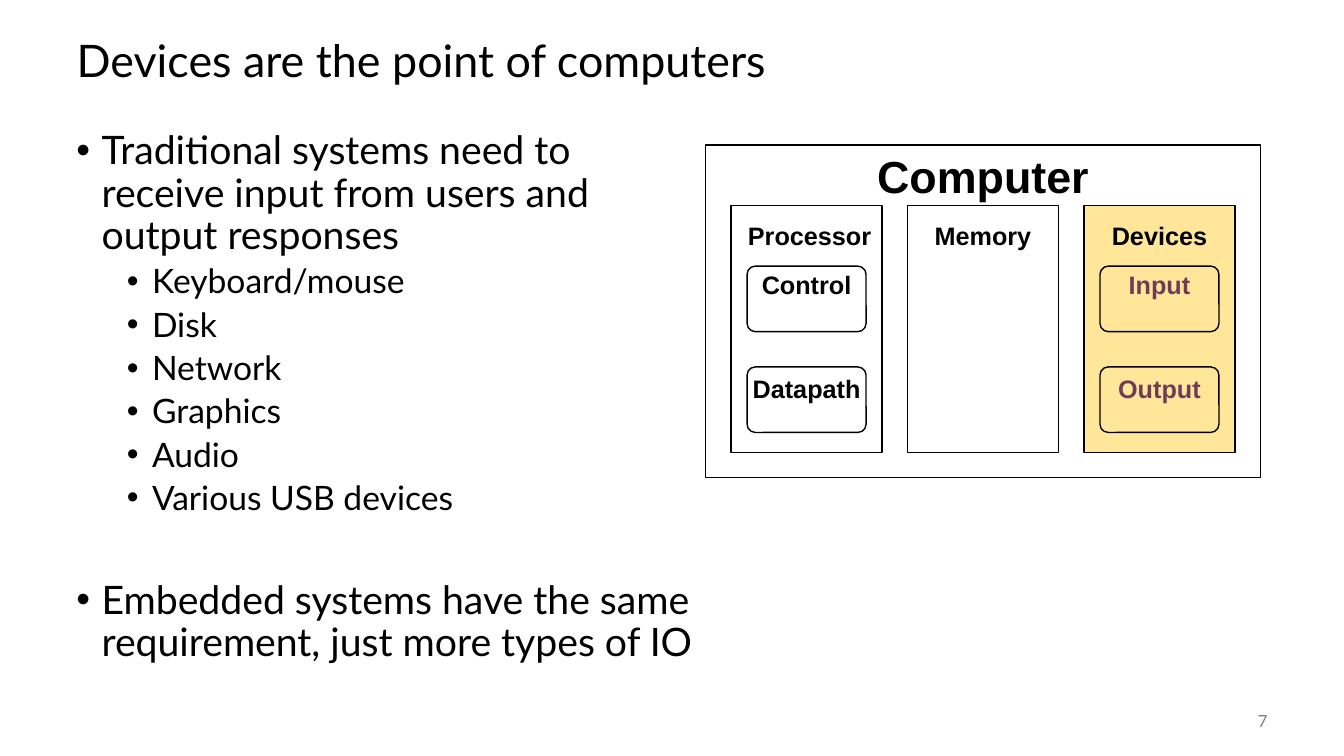
"""Build the slide on devices as the point of computers."""
from lxml import etree
from pptx import Presentation
from pptx.dml.color import RGBColor
from pptx.enum import shapes, text
from pptx.oxml import ns
from pptx.util import Inches, Pt

BLACK = RGBColor(0x00, 0x00, 0x00)
WHITE = RGBColor(0xFF, 0xFF, 0xFF)
GRAY = RGBColor(0x80, 0x80, 0x80)
GOLD = RGBColor(0xFF, 0xE6, 0x99)
PLUM = RGBColor(0x70, 0x3B, 0x56)

NEED_LINES = ["Traditional systems need to ", "receive input from users and", "output responses"]
DEVICE_KINDS = ["Keyboard/mouse", "Disk", "Network", "Graphics", "Audio", "Various USB devices"]
EMBEDDED_LINES = ["Embedded systems have the same requirement, just more types of IO"]

UNIT_WIDTH, UNIT_STEP = 1.5, 1.75
FIRST_UNIT_LEFT = 7.25
PART_WIDTH = 1.18


def add_run(paragraph, words, size, font="Lato", color=BLACK, bold=False):
    run = paragraph.add_run()
    run.text = words
    run.font.size = Pt(size)
    run.font.name = font
    run.font.color.rgb = color
    run.font.bold = bold


def add_text_box(slide, left, top, width, height):
    box = slide.shapes.add_textbox(Inches(left), Inches(top), Inches(width), Inches(height))
    box.text_frame.word_wrap = True
    return box.text_frame


def set_title(slide, words):
    title = slide.shapes.title
    title.left, title.top = Inches(0.66), Inches(0.25)
    title.width, title.height = Inches(12), Inches(0.75)
    frame = title.text_frame
    frame.auto_size = text.MSO_AUTO_SIZE.NONE
    frame.vertical_anchor = text.MSO_ANCHOR.MIDDLE
    paragraph = frame.paragraphs[0]
    paragraph.alignment = text.PP_ALIGN.LEFT
    paragraph.line_spacing = 0.9
    add_run(paragraph, words, 32)


def add_bullet(paragraph, lines, size, level=0, space_before=0):
    paragraph.level = level
    properties = paragraph._p.get_or_add_pPr()
    properties.set("marL", str(Inches(0.25 + 0.5 * level)))
    properties.set("indent", str(Inches(-0.25)))
    font = etree.SubElement(properties, ns.qn("a:buFont"))
    font.set("typeface", "Arial")
    bullet = etree.SubElement(properties, ns.qn("a:buChar"))
    bullet.set("char", "•")
    paragraph.line_spacing = 0.9
    paragraph.space_before = Pt(space_before)
    for index, line in enumerate(lines):
        if index:
            paragraph.add_line_break()
        add_run(paragraph, line, size)


def add_body(slide):
    frame = add_text_box(slide, 0.66, 1.25, 7.56, 5.5)
    add_bullet(frame.paragraphs[0], NEED_LINES, 28)
    for kind in DEVICE_KINDS:
        add_bullet(frame.add_paragraph(), [kind], 24, level=1, space_before=5)
    add_bullet(frame.add_paragraph(), EMBEDDED_LINES, 28, space_before=45)


def add_block(slide, left, top, width, height, fill=None, rounded=False):
    kind = shapes.MSO_SHAPE.ROUNDED_RECTANGLE if rounded else shapes.MSO_SHAPE.RECTANGLE
    block = slide.shapes.add_shape(kind, Inches(left), Inches(top), Inches(width), Inches(height))
    if rounded:
        block.adjustments[0] = 0.125
    block.shadow.inherit = False
    if fill is None:
        block.fill.background()
    else:
        block.fill.solid()
        block.fill.fore_color.rgb = fill
    block.line.color.rgb = BLACK
    block.line.width = Pt(1)


def add_label(slide, words, left, top, width=UNIT_WIDTH, height=0.32, size=18, color=BLACK):
    frame = add_text_box(slide, left, top, width, height)
    frame.margin_left = frame.margin_right = Inches(0.07)
    frame.margin_top = frame.margin_bottom = Inches(0.03)
    paragraph = frame.paragraphs[0]
    paragraph.alignment = text.PP_ALIGN.CENTER
    paragraph.line_spacing = 0.85
    add_run(paragraph, words, size, "Arial", color, True)


def add_unit(slide, column, name, parts=(), fill=None, part_fill=None, part_color=BLACK, name_shift=0):
    left = FIRST_UNIT_LEFT + column * UNIT_STEP
    add_block(slide, left, 2.04, UNIT_WIDTH, 2.45, fill)
    add_label(slide, name, left + name_shift, 2.2)
    for row, part in enumerate(parts):
        part_left = left + (UNIT_WIDTH - PART_WIDTH) / 2
        add_block(slide, part_left, 2.64 + row, PART_WIDTH, 0.65, part_fill, rounded=True)
        add_label(slide, part, left, 2.69 + 1.03 * row, color=part_color)


def add_computer(slide):
    add_block(slide, 7, 1.44, 5.5, 3.3)
    add_label(slide, "Computer", 7, 1.53, 5.5, 0.51, size=32)
    add_unit(slide, 0, "Processor", ["Control", "Datapath"], part_fill=WHITE, name_shift=0.03)
    add_unit(slide, 1, "Memory")
    add_unit(slide, 2, "Devices", ["Input", "Output"], fill=GOLD, part_color=PLUM)


def add_slide_number(slide, number):
    frame = add_text_box(slide, 11.67, 6.95, 1, 0.4)
    frame.vertical_anchor = text.MSO_ANCHOR.MIDDLE
    paragraph = frame.paragraphs[0]
    paragraph.alignment = text.PP_ALIGN.RIGHT
    add_run(paragraph, number, 12, color=GRAY)


def main():
    presentation = Presentation()
    presentation.slide_width, presentation.slide_height = Inches(13.33), Inches(7.5)
    slide = presentation.slides.add_slide(presentation.slide_layouts[5])
    set_title(slide, "Devices are the point of computers")
    add_body(slide)
    add_slide_number(slide, "7")
    add_computer(slide)
    presentation.save("out.pptx")


if __name__ == "__main__":
    main()
